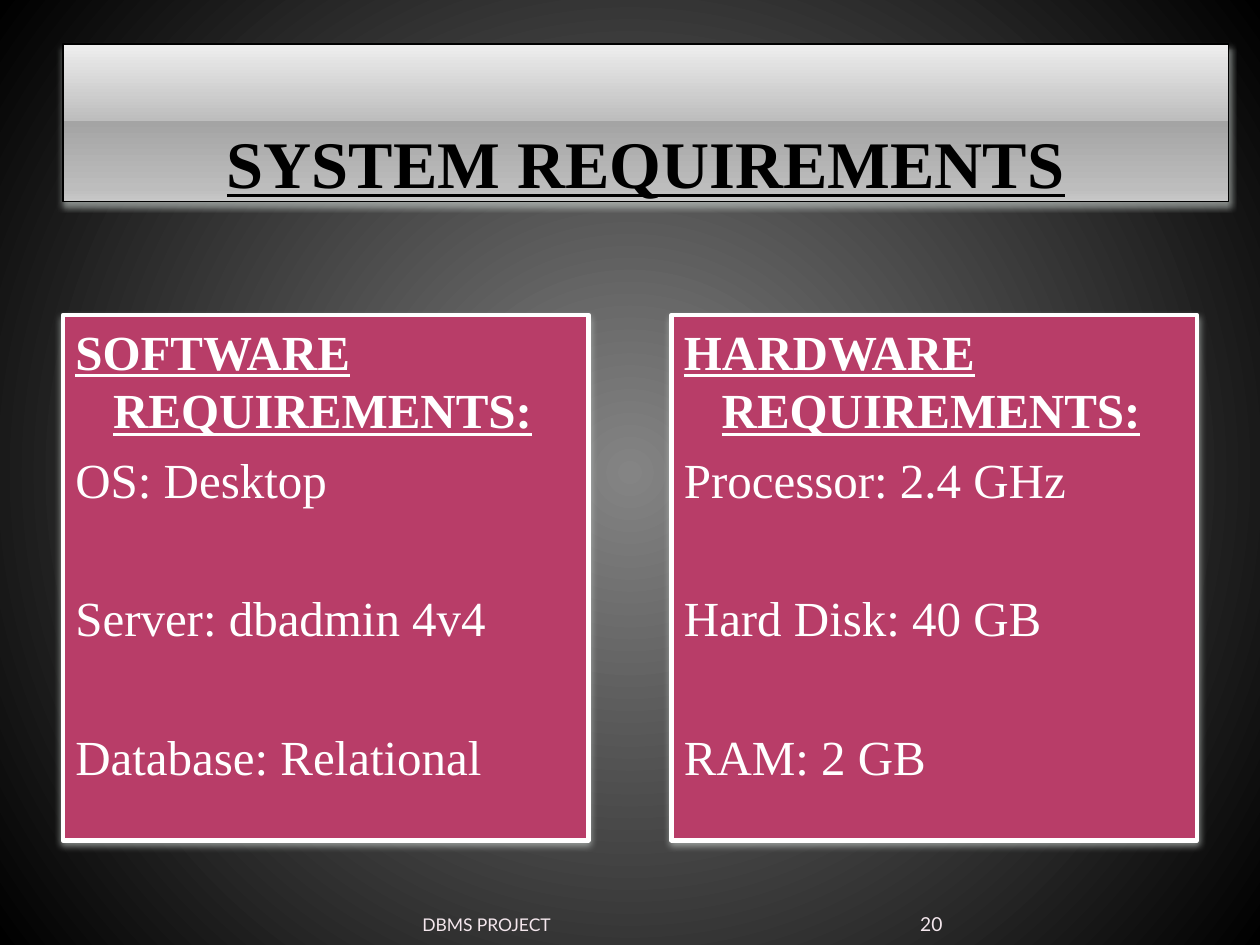
from pptx import Presentation
from pptx.dml.color import RGBColor
from pptx.enum.shapes import MSO_SHAPE
from pptx.enum.text import MSO_ANCHOR, PP_ALIGN
from pptx.oxml import parse_xml
from pptx.oxml.ns import nsdecls, qn
from pptx.util import Inches, Pt

# Content
TITLE = "SYSTEM REQUIREMENTS"
PANELS = [
    ("SOFTWARE REQUIREMENTS:",
     ["OS: Desktop", "Server: dbadmin 4v4", "Database: Relational"]),
    ("HARDWARE REQUIREMENTS:",
     ["Processor: 2.4 GHz", "Hard Disk: 40 GB", "RAM: 2 GB"]),
]
FOOTER = "DBMS PROJECT"
PAGE_NUMBER = "20"

# Theme
SERIF, SANS = "Times New Roman", "Lato"
THEME = {
    "backdrop": [(0, "848484"), (100, "000000")],
    "banner": [(0, "EEEEEE"), (49, "BDBDBD"), (49, "A4A4A4"),
               (92, "BDBDBD"), (100, "C8C8C8")],
    "panel": "B83D68",
    "banner_line": ("000000", 0.9),
    "panel_line": ("FFFFFF", 2.5),
    "glow": "D0D8D4",
    "title": {"name": SERIF, "size": 38, "color": "000000", "bold": True, "underline": True},
    "heading": {"name": SERIF, "size": 28, "color": "FFFFFF", "bold": True, "underline": True},
    "item": {"name": SERIF, "size": 28, "color": "FFFFFF", "bold": False, "underline": False},
    "footer": {"name": SANS, "size": 10, "color": "F4E7ED"},
    "number": {"name": SANS, "size": 11, "color": "F4E7ED"},
}

# Layout, in inches
MARGIN, PANEL_TOP, PANEL_SIZE = 0.5, 2.5, 4.17
PANEL_STEP = 10 - 2 * MARGIN - PANEL_SIZE
HANG = 0.3
LINE_PITCH, PARAGRAPH_GAP = 33.6, 6  # points
ITEM_GAP = LINE_PITCH + 2 * PARAGRAPH_GAP


def gradient(stops, direction):
    marks = "".join(f'<a:gs pos="{place * 1000}"><a:srgbClr val="{color}"/></a:gs>'
                    for place, color in stops)
    return parse_xml(f'<a:gradFill {nsdecls("a")} rotWithShape="1">'
                     f'<a:gsLst>{marks}</a:gsLst>{direction}</a:gradFill>')


def swap_fill(parent, new_fill):
    solid = next(parent.iter(qn("a:solidFill")))
    solid.getparent().replace(solid, new_fill)


def add_panel(page, place, fill, line):
    box = page.shapes.add_shape(MSO_SHAPE.RECTANGLE, *map(Inches, place))
    box.fill.solid()
    box.fill.fore_color.rgb = RGBColor.from_string(fill)
    color, width = line
    box.line.color.rgb = RGBColor.from_string(color)
    box.line.width = Pt(width)
    box.element.spPr.append(parse_xml(
        f'<a:effectLst {nsdecls("a")}><a:outerShdw blurRad="{Pt(4)}" dist="{Pt(2)}" '
        f'dir="5400000" rotWithShape="0"><a:srgbClr val="{THEME["glow"]}">'
        f'<a:alpha val="60000"/></a:srgbClr></a:outerShdw></a:effectLst>'))
    return box


def set_frame(box, anchor, insets):
    frame = box.text_frame
    frame.word_wrap = True
    frame.vertical_anchor = anchor
    for side, inset in zip(("left", "top", "right", "bottom"), insets):
        setattr(frame, f"margin_{side}", Inches(inset))
    return frame


def write(para, text, style, align):
    para.alignment = align
    span = para.add_run()
    span.text = text
    for key, value in style.items():
        if key == "color":
            span.font.color.rgb = RGBColor.from_string(value)
        else:
            setattr(span.font, key, Pt(value) if key == "size" else value)


deck = Presentation()
deck.slide_width, deck.slide_height = Inches(10), Inches(7.5)
page = deck.slides.add_slide(deck.slide_layouts[6])

# Background
page.background.fill.solid()
swap_fill(page.element, gradient(
    THEME["backdrop"],
    '<a:path path="circle"><a:fillToRect l="50000" t="50000" r="50000" b="50000"/></a:path>'))

# Title banner
banner = add_panel(page, (MARGIN, 0.35, 9.25, 1.25), "BDBDBD", THEME["banner_line"])
swap_fill(banner.element.spPr, gradient(THEME["banner"], '<a:lin ang="5400000" scaled="0"/>'))
frame = set_frame(banner, MSO_ANCHOR.BOTTOM, (0.05, 0, 0.05, 0))
write(frame.paragraphs[0], TITLE, THEME["title"], PP_ALIGN.CENTER)

# Requirement panels
for column, (heading, items) in enumerate(PANELS):
    place = (MARGIN + column * PANEL_STEP, PANEL_TOP, PANEL_SIZE, PANEL_SIZE)
    box = add_panel(page, place, THEME["panel"], THEME["panel_line"])
    frame = set_frame(box, MSO_ANCHOR.TOP, (0.1, 0.05, 0.1, 0.05))
    for row, text in enumerate([heading, *items]):
        para = frame.add_paragraph() if row else frame.paragraphs[0]
        para.line_spacing = Pt(LINE_PITCH)
        para.space_before = Pt((0, PARAGRAPH_GAP)[row] if row < 2 else ITEM_GAP)
        indents = para._p.get_or_add_pPr()
        indents.set("marL", str(Inches(HANG)))
        indents.set("indent", str(-Inches(HANG)))
        write(para, text, THEME["item" if row else "heading"], PP_ALIGN.LEFT)

# Footer and page number
for text, style, place, insets in [
    (FOOTER, "footer", (0.5, 7.17, 4, 0.25), (0.1, 0, 0.13, 0)),
    (PAGE_NUMBER, "number", (6.84, 7.17, 0.64, 0.25), (0, 0, 0, 0)),
]:
    box = page.shapes.add_textbox(*map(Inches, place))
    frame = set_frame(box, MSO_ANCHOR.BOTTOM, insets)
    write(frame.paragraphs[0], text, THEME[style], PP_ALIGN.RIGHT)

deck.save("out.pptx")
